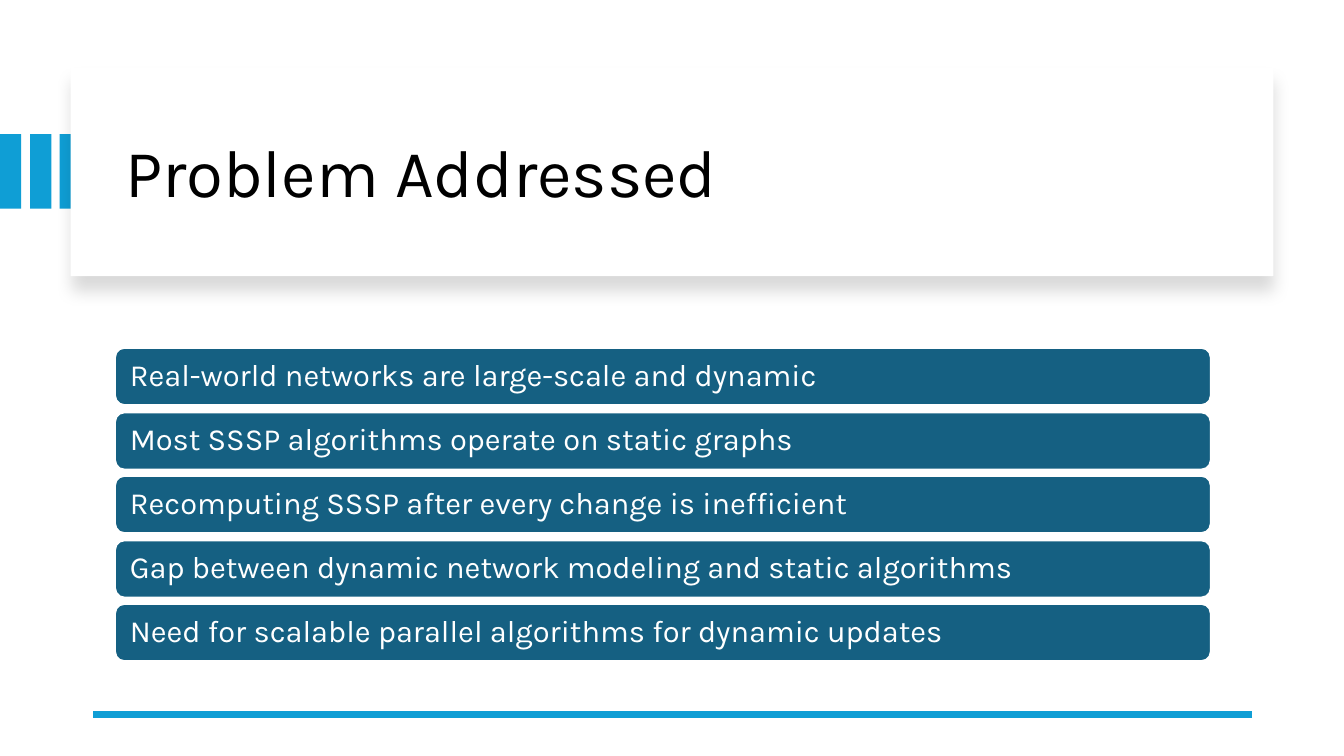
from dataclasses import dataclass

from lxml.etree import SubElement
from pptx import Presentation
from pptx.dml.color import RGBColor
from pptx.enum.shapes import MSO_CONNECTOR, MSO_SHAPE
from pptx.enum.text import MSO_ANCHOR, MSO_AUTO_SIZE, PP_ALIGN
from pptx.oxml.ns import qn
from pptx.shapes.autoshape import Shape
from pptx.slide import Slide
from pptx.text.text import TextFrame
from pptx.util import Emu, Pt

SCALE = 9144


@dataclass(frozen=True)
class Theme:
    font: str = "Karla"
    accent: str = "0F9ED5"
    row: str = "156082"
    white: str = "FFFFFF"
    black: str = "000000"
    title: float = 48
    body: float = 22
    rule: float = 4.5
    edge: float = 1.5


@dataclass(frozen=True)
class Box:
    left: int
    top: int
    width: int
    height: int
    fill: str
    kind: MSO_SHAPE = MSO_SHAPE.RECTANGLE


THEME = Theme()
CARD = Box(70, 67, 1193, 207, THEME.white)
POINTS = (
    "Real-world networks are large-scale and dynamic",
    "Most SSSP algorithms operate on static graphs",
    "Recomputing SSSP after every change is inefficient",
    "Gap between dynamic network modeling and static algorithms",
    "Need for scalable parallel algorithms for dynamic updates",
)


def px(count: int) -> Emu:
    return Emu(count * SCALE)


def color(code: str) -> RGBColor:
    return RGBColor.from_string(code)


def draw_box(slide: Slide, box: Box) -> Shape:
    shape = slide.shapes.add_shape(
        box.kind, px(box.left), px(box.top), px(box.width), px(box.height)
    )
    shape.shadow.inherit = False
    shape.fill.solid()
    shape.fill.fore_color.rgb = color(box.fill)
    shape.line.fill.background()
    return shape


def write(frame: TextFrame, text: str, size: float, code: str) -> None:
    frame.text = text
    frame.word_wrap = True
    frame.auto_size = MSO_AUTO_SIZE.NONE
    frame.vertical_anchor = MSO_ANCHOR.MIDDLE
    line = frame.paragraphs[0]
    line.alignment = PP_ALIGN.LEFT
    line.line_spacing = 0.9
    font = line.runs[0].font
    font.name = THEME.font
    font.size = Pt(size)
    font.color.rgb = color(code)


def draw_card(slide: Slide) -> None:
    card = draw_box(slide, CARD)
    effect = card._element.spPr.find(qn("a:effectLst"))
    shadow = SubElement(
        effect, qn("a:outerShdw"), blurRad=str(Pt(11)), dist=str(Pt(10)),
        dir="5400000", algn="t", rotWithShape="0",
    )
    tint = SubElement(shadow, qn("a:srgbClr"), val=THEME.black)
    SubElement(tint, qn("a:alpha"), val="15000")


def draw_title(slide: Slide, text: str) -> None:
    title = slide.shapes.title
    title.left, title.top, title.width, title.height = map(px, (114, 89, 1087, 170))
    write(title.text_frame, text, THEME.title, THEME.black)
    title._element.getparent().append(title._element)


def draw_rule(slide: Slide) -> None:
    rule = slide.shapes.add_connector(
        MSO_CONNECTOR.STRAIGHT, px(1242), px(709), px(92), px(709)
    )
    rule.line.color.rgb = color(THEME.accent)
    rule.line.width = Pt(THEME.rule)
    SubElement(rule._element.spPr, qn("a:effectLst"))


def draw_point(slide: Slide, index: int, text: str) -> None:
    top = 345 + round(index * 63.6)
    row = draw_box(
        slide, Box(114, top, 1087, 57, THEME.row, MSO_SHAPE.ROUNDED_RECTANGLE)
    )
    row.line.color.rgb = color(THEME.white)
    row.line.width = Pt(THEME.edge)
    frame = row.text_frame
    frame.margin_left = frame.margin_right = px(12)
    frame.margin_top = frame.margin_bottom = px(9)
    write(frame, text, THEME.body, THEME.white)


def main() -> None:
    deck = Presentation()
    deck.slide_width, deck.slide_height = px(1333), px(750)
    slide = deck.slides.add_slide(deck.slide_layouts[5])
    for index in range(3):
        draw_box(slide, Box(round(index * 29.5), 133, 21, 74, THEME.accent))
    draw_card(slide)
    draw_title(slide, "Problem Addressed")
    draw_rule(slide)
    for index, text in enumerate(POINTS):
        draw_point(slide, index, text)
    deck.save("out.pptx")


if __name__ == "__main__":
    main()
